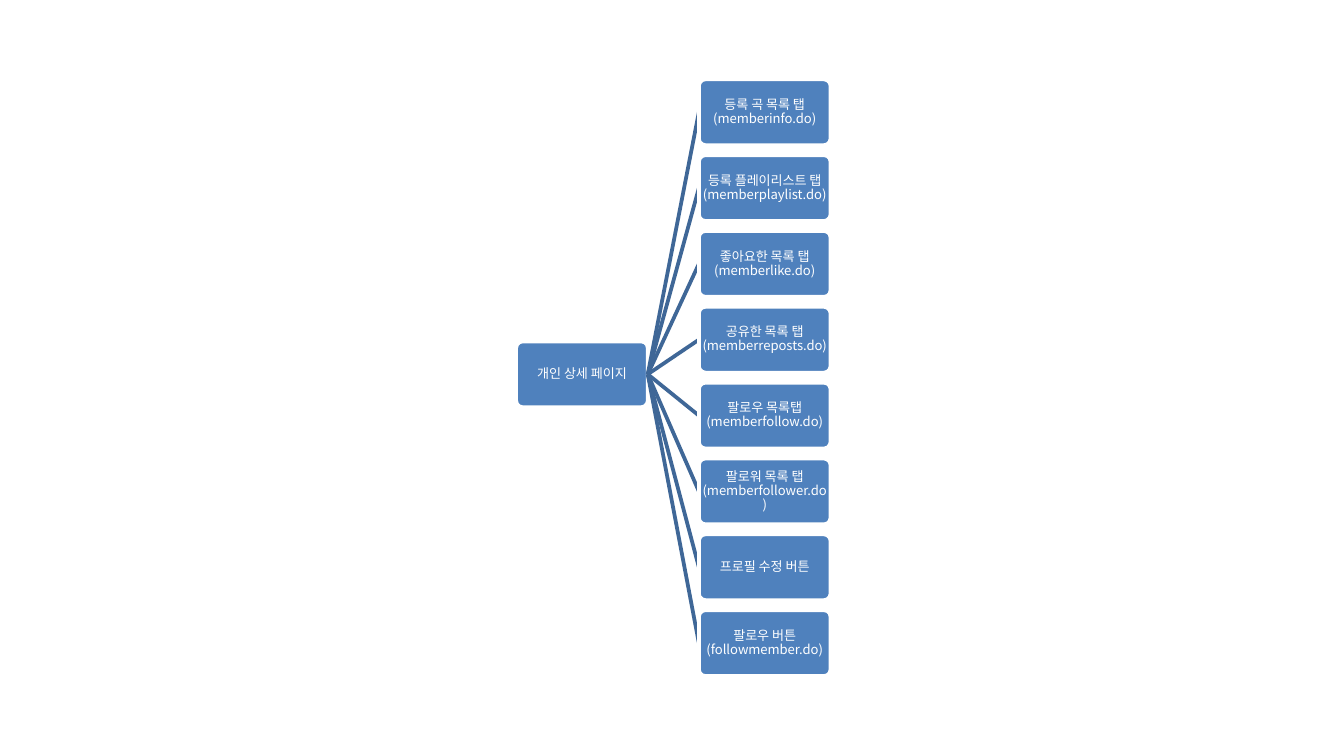
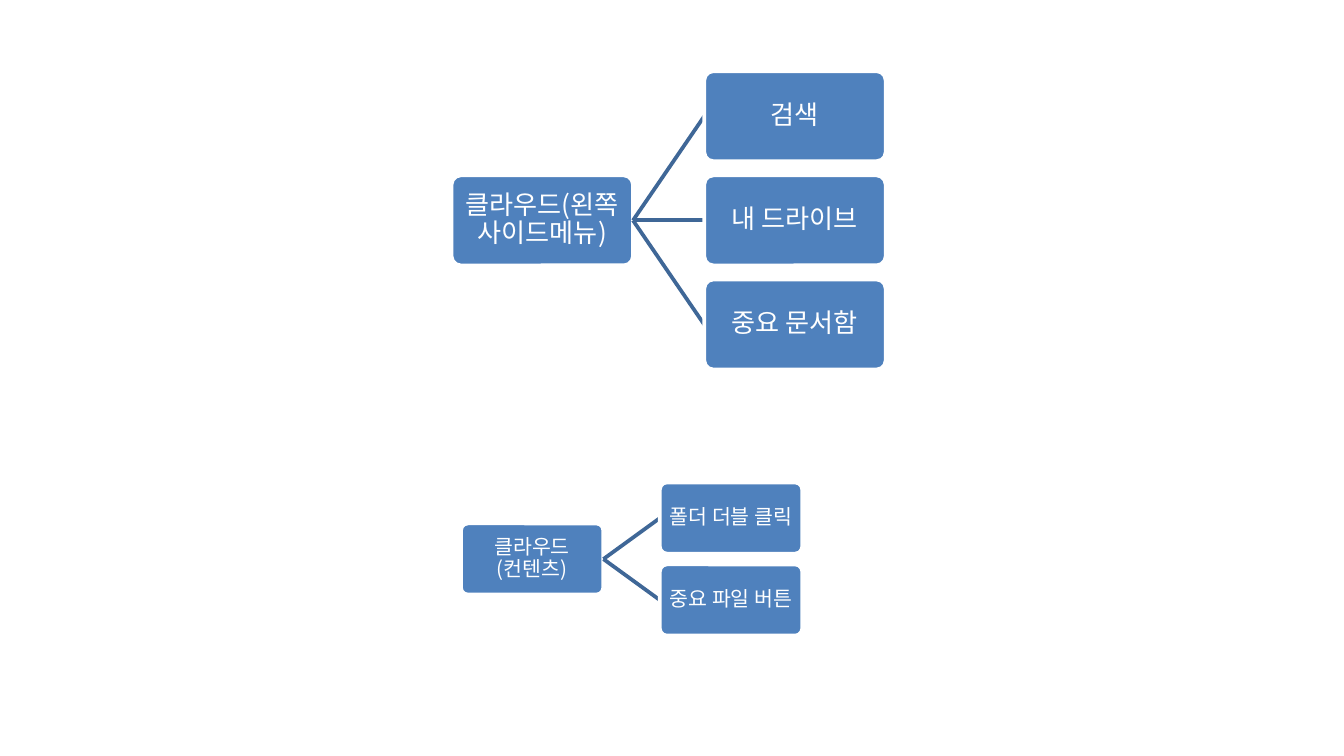
import pptx
import pptx.dml.color
import pptx.enum.shapes
import pptx.enum.text
import pptx.oxml.ns
import pptx.util
from lxml import etree
from pptx.util import Inches

BOX_BLUE = pptx.dml.color.RGBColor(0x4F, 0x81, 0xBD)
BRANCH_BLUE = pptx.dml.color.RGBColor(0x3F, 0x67, 0x97)
WHITE = pptx.dml.color.RGBColor(0xFF, 0xFF, 0xFF)
FONT = "Noto Sans CJK KR"


def write_text(frame, text, *, size, color=WHITE, font=FONT, inset=0.0):
    """Fill a text frame with one centred paragraph."""
    frame.word_wrap = True
    frame.vertical_anchor = pptx.enum.text.MSO_ANCHOR.MIDDLE
    frame.margin_left = frame.margin_right = Inches(inset)
    frame.margin_top = frame.margin_bottom = Inches(inset)
    paragraph = frame.paragraphs[0]
    paragraph.alignment = pptx.enum.text.PP_ALIGN.CENTER
    paragraph.line_spacing = 0.9
    paragraph.space_after = pptx.util.Pt(0.35 * size)
    run = paragraph.add_run()
    run.text = text
    run.font.size = pptx.util.Pt(size)
    run.font.name = font
    run.font.color.rgb = color
    # Korean glyphs take the East Asian typeface
    east_asian = etree.SubElement(run.font._element, pptx.oxml.ns.qn("a:ea"))
    east_asian.set("typeface", font)


class TreeDeck:
    line_width = pptx.util.Pt(2)

    def __init__(self):
        self.deck = pptx.Presentation()
        self.deck.slide_width = Inches(10)
        self.deck.slide_height = Inches(10) * 9 // 16
        self.slide = None

    def add_slide(self):
        self.slide = self.deck.slides.add_slide(self.deck.slide_layouts[6])

    def node(self, text, left, top, width, height, **text_format):
        box = self.slide.shapes.add_shape(
            pptx.enum.shapes.MSO_SHAPE.ROUNDED_RECTANGLE,
            Inches(left), Inches(top), Inches(width), Inches(height))
        box.adjustments[0] = 0.1
        box.shadow.inherit = False
        box.fill.solid()
        box.fill.fore_color.rgb = BOX_BLUE
        box.line.color.rgb = WHITE
        box.line.width = self.line_width
        write_text(box.text_frame, text, **text_format)

    def branch(self, x1, y1, x2, y2):
        line = self.slide.shapes.add_connector(
            pptx.enum.shapes.MSO_CONNECTOR.STRAIGHT,
            Inches(x1), Inches(y1), Inches(x2), Inches(y2))
        line.line.color.rgb = BRANCH_BLUE
        line.line.width = self.line_width
        etree.SubElement(line._element.spPr, pptx.oxml.ns.qn("a:effectLst"))

    def tree(self, root, children, *, root_left, child_left, first_top,
             last_top, node_size, root_top=None, **text_format):
        """Draw a root and an even column of children; centre the root by default."""
        width, height = node_size
        if root_top is None:
            root_top = (first_top + last_top) / 2
        pitch = (last_top - first_top) / (len(children) - 1)
        self.node(root, root_left, root_top, width, height, **text_format)
        for index, child in enumerate(children):
            top = first_top + index * pitch
            self.branch(root_left + width, root_top + height / 2,
                        child_left, top + height / 2)
            self.node(child, child_left, top, width, height, **text_format)


def main():
    pages = TreeDeck()

    # Member detail page
    pages.add_slide()
    pages.tree(
        "개인 상세 페이지",
        ["등록 곡 목록 탭(memberinfo.do)",
         "등록 플레이리스트 탭(memberplaylist.do)",
         "좋아요한 목록 탭(memberlike.do)",
         "공유한 목록 탭(memberreposts.do)",
         "팔로우 목록탭(memberfollow.do)",
         "팔로워 목록 탭(memberfollower.do)",
         "프로필 수정 버튼",
         "팔로우 버튼(followmember.do)"],
        root_left=3.84, root_top=2.54, child_left=5.2,
        first_top=0.59, last_top=4.54, node_size=(0.98, 0.49), size=7)

    # Cloud: side menu
    pages.add_slide()
    pages.tree(
        "클라우드(왼쪽 사이드메뉴)", ["검색", "내 드라이브", "중요 문서함"],
        root_left=3.36, child_left=5.24, first_top=0.53, last_top=2.08,
        node_size=(1.35, 0.67), size=14, inset=0.01)

    # Cloud: contents
    pages.tree(
        "클라우드(컨텐츠)", ["폴더 더블 클릭", "중요 파일 버튼"],
        root_left=3.43, child_left=4.91, first_top=3.59, last_top=4.2,
        node_size=(1.06, 0.53), size=11, inset=0.01)

    pages.deck.save("out.pptx")


if __name__ == "__main__":
    main()
